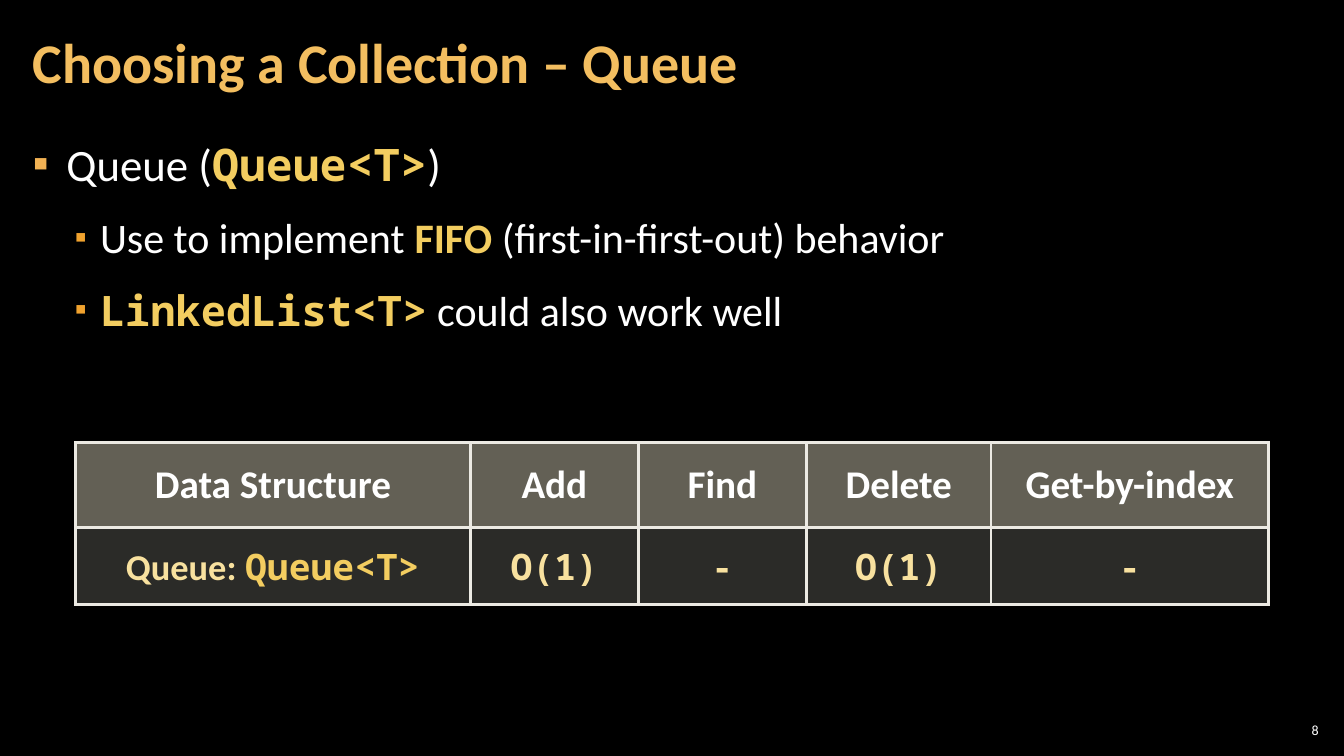
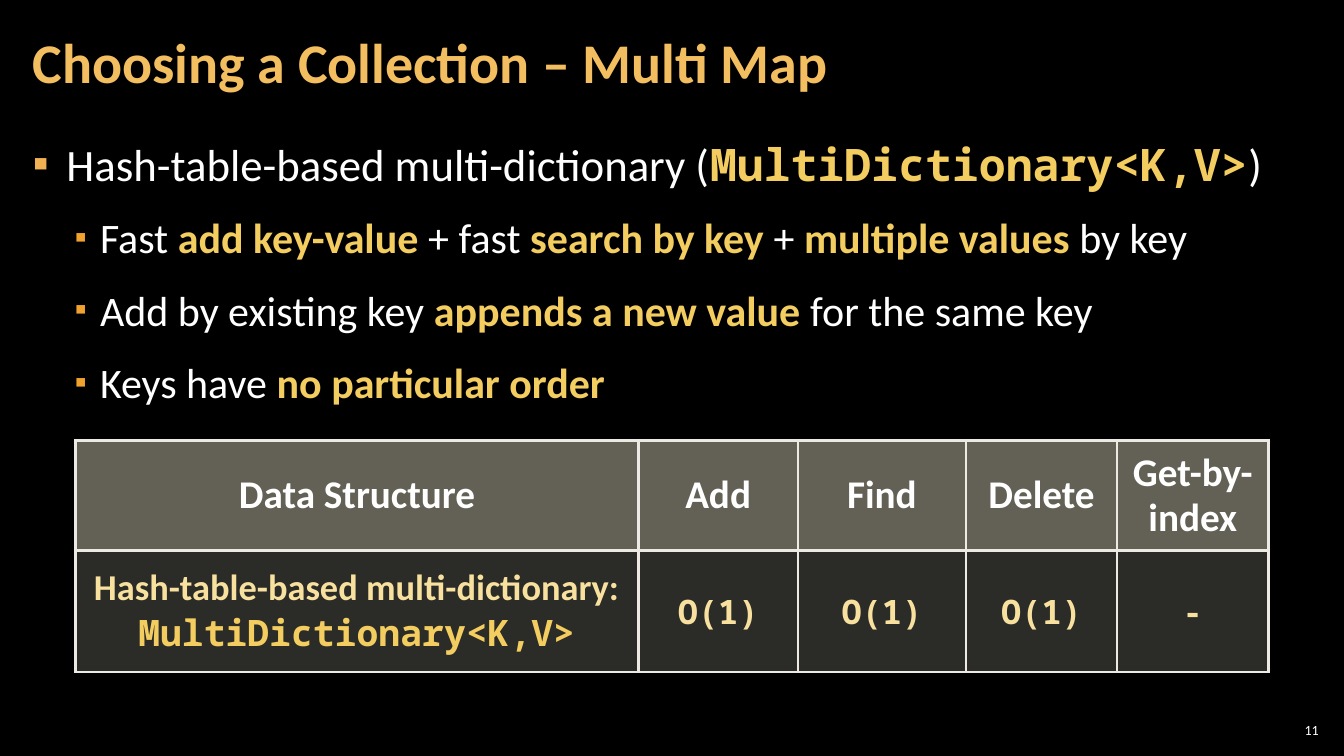
from lxml import etree
from pptx import Presentation
from pptx.dml.color import RGBColor
from pptx.enum import text as t
from pptx.oxml import ns
from pptx.util import Pt

SANS, MONO = "Calibri", "Noto Sans Mono"
WHITE, GOLD, PALE, TITLE = "FFFFFF", "F3CD60", "F8E19F", "F3BE60"
BORDER, HEAD_FILL, ROW_FILL = "ECEAE3", "636055", "2B2B28"

# Run styles: font, colour, bold
STYLES = {
    "plain": (SANS, WHITE, False),
    "strong": (SANS, GOLD, True),
    "code": (MONO, GOLD, True),
    "title": (SANS, TITLE, True),
    "head": (SANS, WHITE, True),
    "label": (SANS, PALE, True),
    "value": (MONO, PALE, True),
}
# Bullet levels: size, indent, hanging, bullet colour, bullet size in %
LEVELS = [(32, 24, 24, "F2B254", 100), (30, 48, 18, "F0A22E", 80)]

SLIDES = [
    dict(
        number="8",
        title="Choosing a Collection – Queue",
        bullets=[
            (0, [("Queue (", "plain"), ("Queue<T>", "code"), (")", "plain")]),
            (1, [("Use to implement ", "plain"), ("FIFO ", "strong"),
                 ("(first-in-first-out) behavior", "plain")]),
            (1, [("LinkedList<T>", "code"),
                 (" could also work well", "plain")]),
        ],
        top=316, cols=[282, 120, 120, 132, 198], rows=[61, 55],
        label=[("Queue: ", "label"), ("Queue<T>", "code")],
        values=["O(1)", "-", "O(1)", "-"], value_size=26,
    ),
    dict(
        number="11",
        title="Choosing a Collection – Multi Map",
        bullets=[
            (0, [("Hash-table-based multi-dictionary (", "plain"),
                 ("MultiDictionary<K,V>", "code"), (")", "plain")]),
            (1, [("Fast ", "plain"), ("add key-value ", "strong"),
                 ("+ fast ", "plain"), ("search by key", "strong"),
                 (" + ", "plain"), ("multiple values ", "strong"),
                 ("by key", "plain")]),
            (1, [("Add by existing key ", "plain"),
                 ("appends a new value", "strong"),
                 (" for the same key", "plain")]),
            (1, [("Keys have ", "plain"), ("no particular order", "strong")]),
        ],
        top=314.5, cols=[402, 114, 120, 108, 108], rows=[78.5, 87],
        label=[("Hash-table-based multi-dictionary: ", "label"),
               ("MultiDictionary<K,V>", "code")],
        values=["O(1)", "O(1)", "O(1)", "-"], value_size=24,
    ),
]
HEADS = ["Data Structure", "Add", "Find", "Delete", "Get-by-index"]


def rgb(color):
    return RGBColor.from_string(color)


def write(p, runs, size, align, spacing):
    p.alignment, p.line_spacing = align, spacing
    for words, style in runs:
        r = p.add_run()
        r.text = words
        r.font.size = Pt(size)
        r.font.name, color, r.font.bold = STYLES[style]
        r.font.color.rgb = rgb(color)


prs = Presentation()
prs.slide_width, prs.slide_height = Pt(960), Pt(540)
LEFT, CENTER, RIGHT = t.PP_ALIGN.LEFT, t.PP_ALIGN.CENTER, t.PP_ALIGN.RIGHT
MIDDLE = t.MSO_ANCHOR.MIDDLE

# Shared background
fill = prs.slide_master.background.fill
fill.solid()
fill.fore_color.rgb = rgb("000000")

for data in SLIDES:
    s = prs.slides.add_slide(prs.slide_layouts[5])

    # Frames for the title, bullets and page number
    title = s.shapes.title
    title.left, title.top, title.width, title.height = Pt(15), Pt(3), Pt(754), Pt(87)
    body = s.shapes.add_textbox(Pt(15), Pt(90.5), Pt(930), Pt(438.5))
    number = s.shapes.add_textbox(Pt(911), Pt(514), Pt(34), Pt(15))
    for sp, side, anchor in [(title, 8.5, MIDDLE), (body, 8.5, t.MSO_ANCHOR.TOP),
                             (number, 3, MIDDLE)]:
        tf = sp.text_frame
        tf.word_wrap, tf.auto_size = True, t.MSO_AUTO_SIZE.NONE
        tf.vertical_anchor = anchor
        tf.margin_left = tf.margin_right = Pt(side)
        tf.margin_top = tf.margin_bottom = Pt(3)
    write(title.text_frame.paragraphs[0], [(data["title"], "title")], 40, LEFT, 0.9)
    write(number.text_frame.paragraphs[0], [(data["number"], "plain")], 10, RIGHT, 1.0)

    # Bullets
    tf = body.text_frame
    for i, (level, runs) in enumerate(data["bullets"]):
        p = tf.add_paragraph() if i else tf.paragraphs[0]
        size, indent, hanging, color, percent = LEVELS[level]
        p.level = level
        p.space_before = p.space_after = Pt(6)
        write(p, runs, size, LEFT, 1.1)
        pPr = p._p.get_or_add_pPr()
        pPr.set("marL", str(Pt(indent)))
        pPr.set("indent", str(-Pt(hanging)))
        clr = etree.SubElement(pPr, ns.qn("a:buClr"))
        etree.SubElement(clr, ns.qn("a:srgbClr"), val=color)
        etree.SubElement(pPr, ns.qn("a:buSzPct"), val=str(percent * 1000))
        etree.SubElement(pPr, ns.qn("a:buFont"), typeface=SANS)
        etree.SubElement(pPr, ns.qn("a:buChar"), char="▪")

    # Complexity table
    cols, rows = data["cols"], data["rows"]
    table = s.shapes.add_table(2, len(cols), Pt(54), Pt(data["top"]),
                               Pt(sum(cols)), Pt(sum(rows))).table
    for column, width in zip(table.columns, cols):
        column.width = Pt(width)
    for row, height in zip(table.rows, rows):
        row.height = Pt(height)
    head_row = [([(head, "head")], 28) for head in HEADS]
    value_row = [(data["label"], 26)]
    value_row += [([(v, "value")], data["value_size"]) for v in data["values"]]
    for r, (cells, color) in enumerate([(head_row, HEAD_FILL), (value_row, ROW_FILL)]):
        for c, (runs, size) in enumerate(cells):
            cell = table.cell(r, c)
            cell.vertical_anchor = MIDDLE
            write(cell.text_frame.paragraphs[0], runs, size, CENTER, 0.95)
            tcPr = cell._tc.get_or_add_tcPr()
            for side in ("lnL", "lnR", "lnT", "lnB"):
                ln = etree.SubElement(tcPr, ns.qn("a:" + side), w=str(Pt(2.25)))
                solid = etree.SubElement(ln, ns.qn("a:solidFill"))
                etree.SubElement(solid, ns.qn("a:srgbClr"), val=BORDER)
            cell.fill.solid()
            cell.fill.fore_color.rgb = rgb(color)

prs.save("out.pptx")
